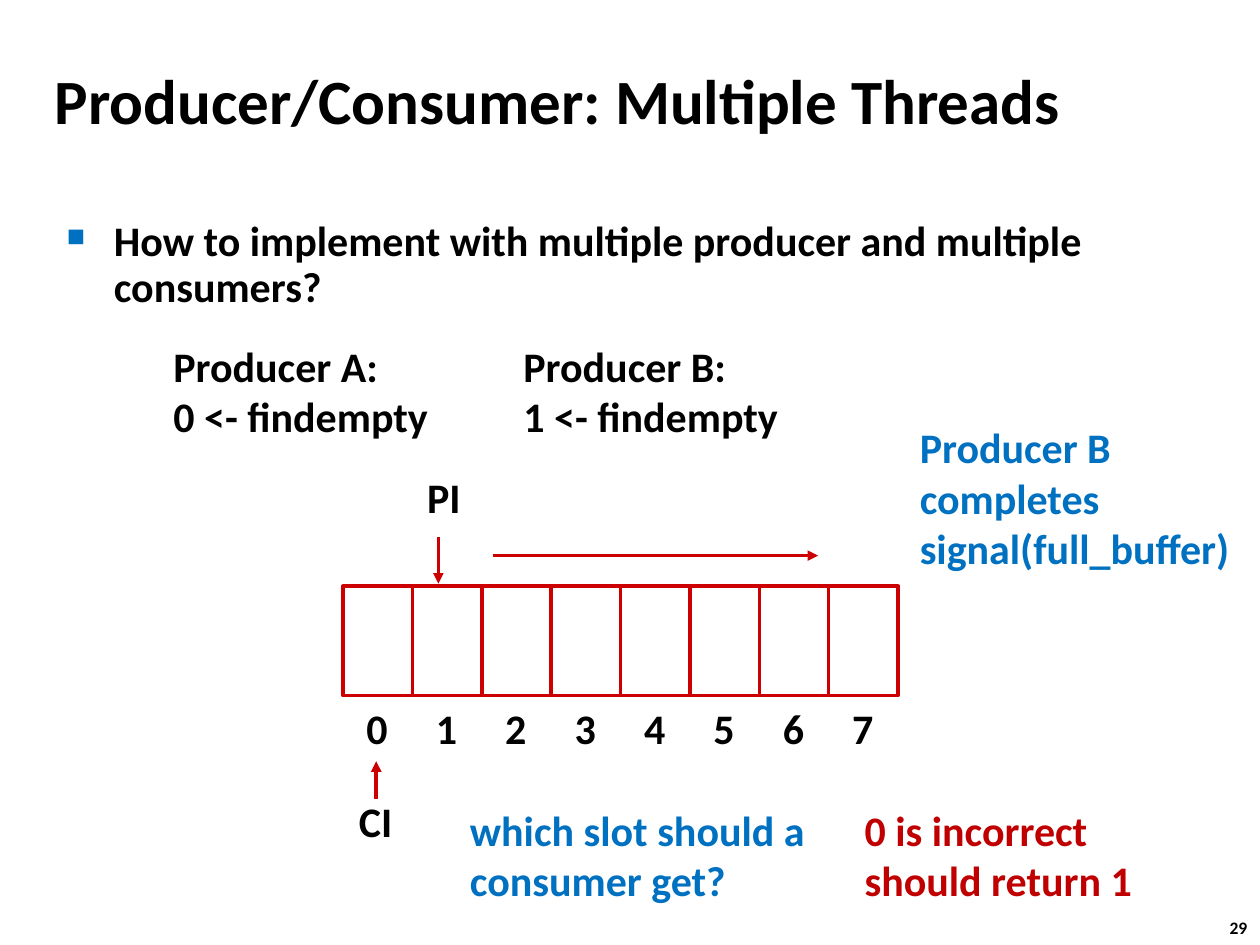
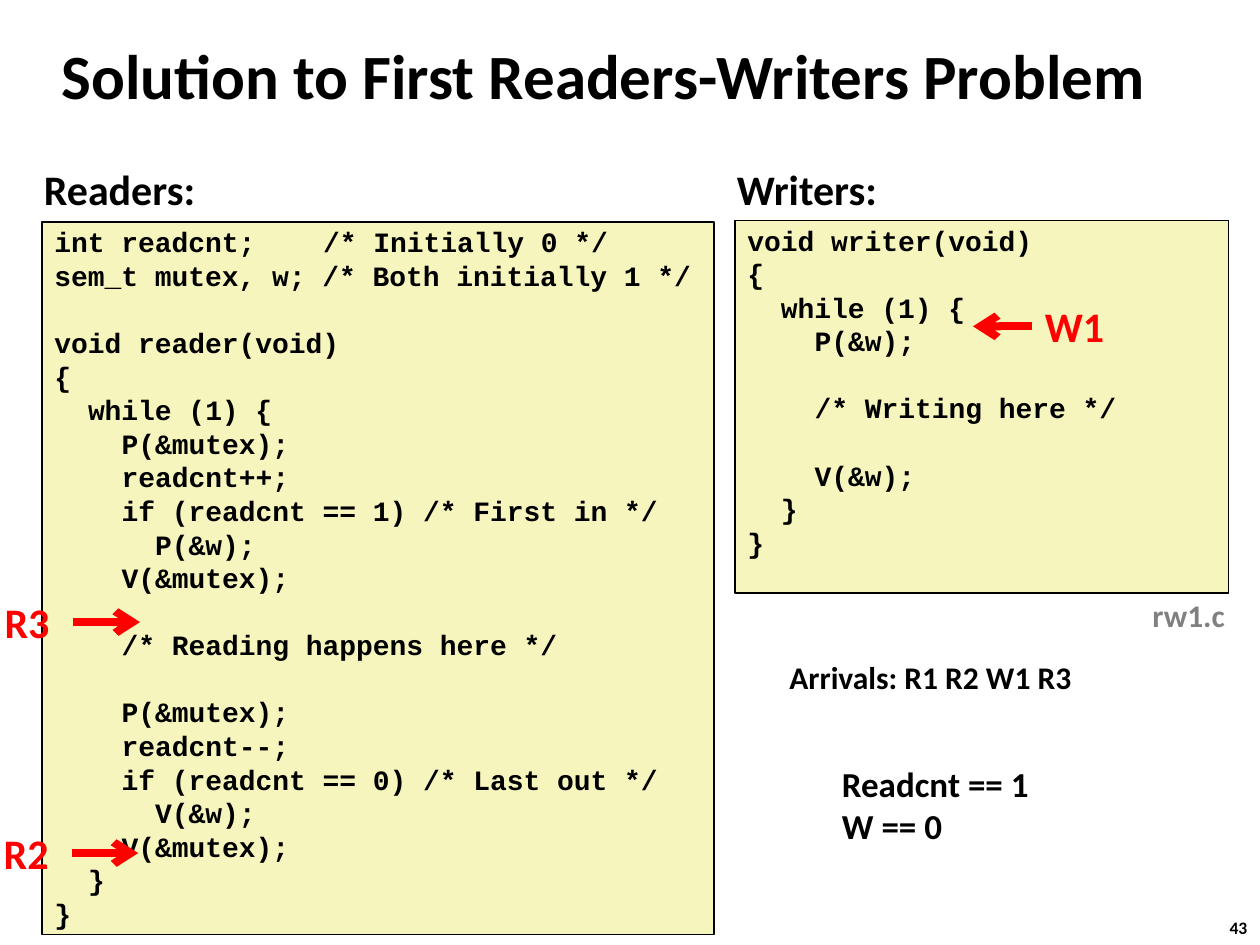
"""Build two slides on producer/consumer threads and the readers-writers problem."""
from lxml import etree
from pptx import Presentation
from pptx import util as u
from pptx.dml.color import RGBColor
from pptx.enum import shapes, text
from pptx.oxml import ns

COLOURS = {"black": "000000", "blue": "0070C0", "red": "CC0000", "dark red": "C00000",
           "bright red": "FF0000", "grey": "808080", "code": "F6F5BD"}
BODY_FONT, CODE_FONT = "Calibri", "Courier New"
CODE_SIZE, CODE_LINE, CODE_CHARACTER = 16, 19.2, 9.6
CODE_STEP, COMMENT_COLUMN = 2, 16
CODE_INSETS = {"margin_left": u.Pt(7.2), "margin_right": u.Pt(7.2),
               "margin_top": u.Pt(1.5), "margin_bottom": 0}

BUFFER_SLIDE = {
    "title": ("Producer/Consumer: Multiple Threads", (24, 18, 666, 78)),
    "number": "29",
    "texts": [
        (["Producer A:", "0 <- findempty"], (92, 191, 161, 66), 24, "black", False),
        (["Producer B:", "1 <- findempty"], (292, 191, 182, 66), 24, "black", True),
        (["PI"], (237, 266, 34, 36), 24, "black", False),
        (["Producer B completes", "signal(full_buffer)"], (518.5, 237.5, 225, 95), 24, "blue", True),
        (["CI"], (198, 451, 34, 36), 24, "black", False),
        (["which slot should a consumer get?"], (261.5, 456, 225, 66), 24, "blue", True),
        (["0 is incorrect", "should return 1"], (487, 456, 225, 66), 24, "dark red", True),
    ],
    "arrows": [
        ((250.5, 307), (250.5, 333.5)),
        ((281.5, 317.5), (467.5, 317.5)),
        ((215, 456.5), (215, 435)),
    ],
}
QUESTION = "How to implement with multiple producer and multiple consumers?"
QUESTION_BOX = (31, 122.5, 678, 91)
SLOTS = {"count": 8, "left": 196, "top": 335, "width": 39.65, "height": 62.5}
SLOT_LABEL = {"width": 27, "height": 36, "top": 398}

READERS_SLIDE = {
    "title": ("Solution to First Readers-Writers Problem", (28, 12.5, 674, 60)),
    "number": "43",
    "texts": [
        (["Readers:"], (18, 90, 102, 36), 24, "black", False),
        (["Writers:"], (414, 90, 95, 36), 24, "black", False),
        (["rw1.c"], (651.5, 337, 56, 29), 18, "grey", False),
        (["Arrivals: R1 R2 W1 R3"], (444, 372.5, 177, 29), 18, "black", False),
        (["Readcnt == 1", "W == 0"], (474, 432, 122, 55.5), 20, "black", False),
        (["R2"], (-5, 469.5, 46, 36), 24, "bright red", False),
        (["W1"], (590, 168, 54, 36), 24, "bright red", False),
        (["R3"], (-4.5, 337.5, 46, 36), 24, "bright red", False),
    ],
    "arrows": [
        ((41, 487.5), (79, 487.5)),
        ((590, 186.5), (556, 186.5)),
        ((41.5, 355.5), (80, 355.5)),
    ],
}
READER_CODE = [
    [(0, "int readcnt;\t/* Initially 0 */"), (0, "sem_t mutex, w; /* Both initially 1 */")],
    [(0, "void reader(void)"), (0, "{"), (1, "while (1) {"), (2, "P(&mutex);"),
     (2, "readcnt++;"), (2, "if (readcnt == 1) /* First in */"), (3, "P(&w);"),
     (2, "V(&mutex);")],
    [(2, "/* Reading happens here */")],
    [(2, "P(&mutex);"), (2, "readcnt--;"), (2, "if (readcnt == 0) /* Last out */"),
     (3, "V(&w);"), (2, "V(&mutex);"), (1, "}"), (0, "}")],
]
WRITER_CODE = [
    [(0, "void writer(void)"), (0, "{"), (1, "while (1) {"), (2, "P(&w);")],
    [(2, "/* Writing here */")],
    [(2, "V(&w);"), (1, "}"), (0, "}")],
]
CODE_BOXES = [(READER_CODE, (24, 127, 384, 407)), (WRITER_CODE, (420, 126, 282, 213))]


def points(values):
    return [u.Pt(value) for value in values]


def colour(name):
    return RGBColor.from_string(COLOURS[name])


def apply(target, values):
    for name, value in values.items():
        setattr(target, name, value)


def add_xml(parent, tag, **attributes):
    return etree.SubElement(parent, ns.qn(tag), attributes)


def write(paragraph, line, size, colour_name="black", font=BODY_FONT):
    run = paragraph.add_run()
    run.text = line
    apply(run.font, {"name": font, "size": u.Pt(size), "bold": True})
    run.font.color.rgb = colour(colour_name)


def next_paragraph(frame, index):
    return frame.add_paragraph() if index else frame.paragraphs[0]


def add_text(slide, lines, box, size, colour_name, wrap):
    frame = slide.shapes.add_textbox(*points(box)).text_frame
    frame.word_wrap = wrap
    for index, line in enumerate(lines):
        write(next_paragraph(frame, index), line, size, colour_name)
    return frame


def add_arrow(slide, start, end, colour_name, width, head):
    arrow = slide.shapes.add_connector(shapes.MSO_CONNECTOR.STRAIGHT, *points(start + end))
    arrow.line.color.rgb = colour(colour_name)
    arrow.line.width = u.Pt(width)
    add_xml(arrow.line._get_or_add_ln(), "a:tailEnd", type=head)
    add_xml(arrow._element.spPr, "a:effectLst")


def add_box(slide, box, line_colour, width, fill=None):
    shape = slide.shapes.add_shape(shapes.MSO_SHAPE.RECTANGLE, *points(box))
    shape.shadow.inherit = False
    shape.line.color.rgb = colour(line_colour)
    shape.line.width = u.Pt(width)
    if fill:
        shape.fill.solid()
        shape.fill.fore_color.rgb = colour(fill)
    else:
        shape.fill.background()
    return shape


def add_code(slide, blocks, box):
    frame = add_box(slide, box, "black", 1, "code").text_frame
    apply(frame, {**CODE_INSETS, "vertical_anchor": text.MSO_ANCHOR.TOP, "word_wrap": True})
    numbered = [(number, row, line) for number, block in enumerate(blocks)
                for row, line in enumerate(block)]
    for index, (number, row, (depth, line)) in enumerate(numbered):
        paragraph = next_paragraph(frame, index)
        paragraph.alignment = text.PP_ALIGN.LEFT
        if number and not row:
            paragraph.space_before = u.Pt(CODE_LINE)
        properties = paragraph._p.get_or_add_pPr()
        properties.set("marL", str(u.Pt(depth * CODE_STEP * CODE_CHARACTER)))
        if "\t" in line:
            stops = add_xml(properties, "a:tabLst")
            add_xml(stops, "a:tab", pos=str(u.Pt(COMMENT_COLUMN * CODE_CHARACTER)), algn="l")
        write(paragraph, line, CODE_SIZE, font=CODE_FONT)


def add_question(slide):
    frame = add_text(slide, [QUESTION], QUESTION_BOX, 24, "black", True)
    paragraph = frame.paragraphs[0]
    apply(paragraph, {"line_spacing": 0.9, "space_before": u.Pt(4.8)})
    properties = paragraph._p.get_or_add_pPr()
    apply_indent = {"marL": u.Pt(27), "indent": u.Pt(-27)}
    for name, value in apply_indent.items():
        properties.set(name, str(value))
    add_xml(add_xml(properties, "a:buClr"), "a:srgbClr", val=COLOURS["blue"])
    add_xml(properties, "a:buSzPct", val="60000")
    add_xml(properties, "a:buChar", char="■")


def add_slots(slide):
    width = SLOTS["width"]
    for index in range(SLOTS["count"]):
        left = SLOTS["left"] + index * width
        add_box(slide, (left, SLOTS["top"], width, SLOTS["height"]), "red", 2)
        label_left = left + (width - SLOT_LABEL["width"]) / 2
        label_box = (label_left, SLOT_LABEL["top"], SLOT_LABEL["width"], SLOT_LABEL["height"])
        add_text(slide, [str(index)], label_box, 24, "black", False)


def add_slide(presentation, content):
    slide = presentation.slides.add_slide(presentation.slide_layouts.get_by_name("Title Only"))
    heading, box = content["title"]
    title = slide.shapes.title
    apply(title, dict(zip(("left", "top", "width", "height"), points(box))))
    title.text_frame.vertical_anchor = text.MSO_ANCHOR.MIDDLE
    paragraph = title.text_frame.paragraphs[0]
    paragraph.alignment = text.PP_ALIGN.LEFT
    write(paragraph, heading, 36)
    add_text(slide, [content["number"]], (695.5, 520.5, 27, 19.5), 10, "black", False)
    return slide


def add_notes_and_arrows(slide, content, arrow_format):
    for note in content["texts"]:
        add_text(slide, *note)
    for start, end in content["arrows"]:
        add_arrow(slide, start, end, *arrow_format)


def main():
    presentation = Presentation()
    apply(presentation, {"slide_width": u.Pt(720), "slide_height": u.Pt(540)})

    buffer_slide = add_slide(presentation, BUFFER_SLIDE)
    add_question(buffer_slide)
    add_slots(buffer_slide)
    add_notes_and_arrows(buffer_slide, BUFFER_SLIDE, ("red", 2, "triangle"))

    readers_slide = add_slide(presentation, READERS_SLIDE)
    for blocks, box in CODE_BOXES:
        add_code(readers_slide, blocks, box)
    add_notes_and_arrows(readers_slide, READERS_SLIDE, ("bright red", 4.5, "arrow"))

    presentation.save("out.pptx")


if __name__ == "__main__":
    main()
